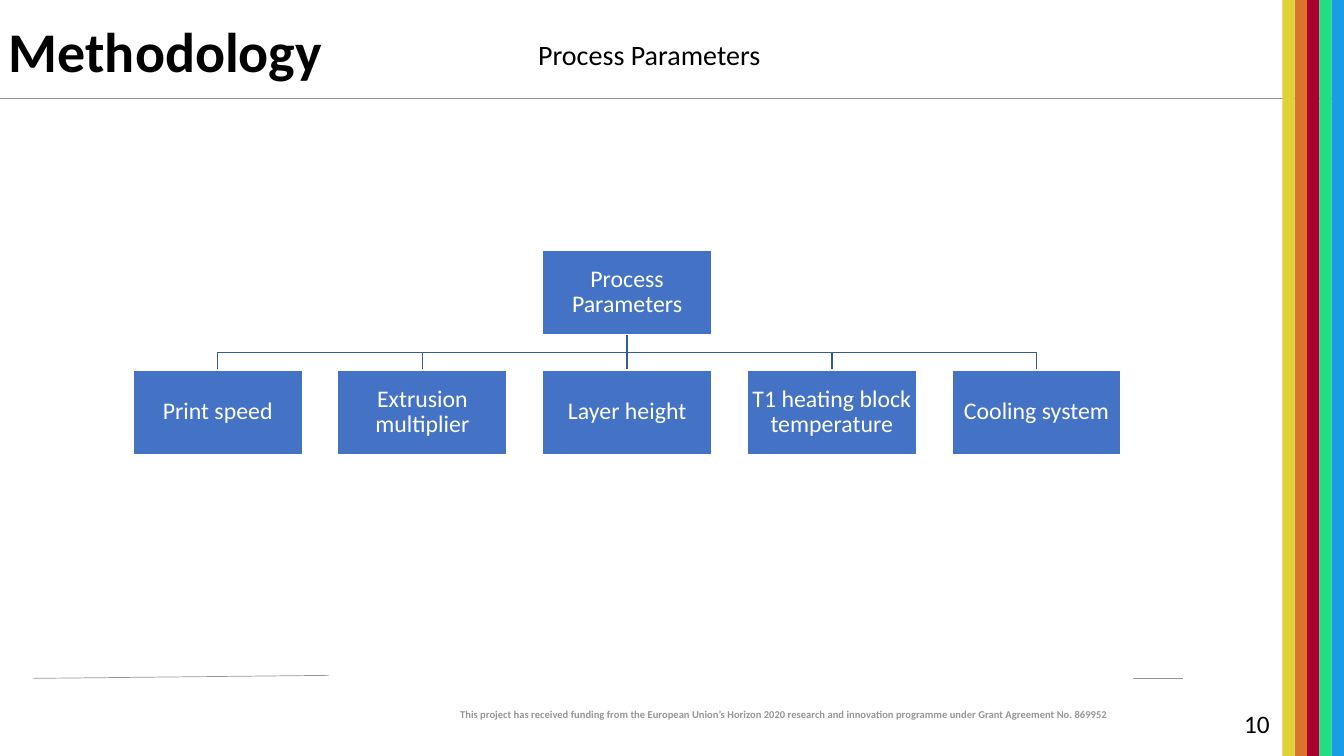
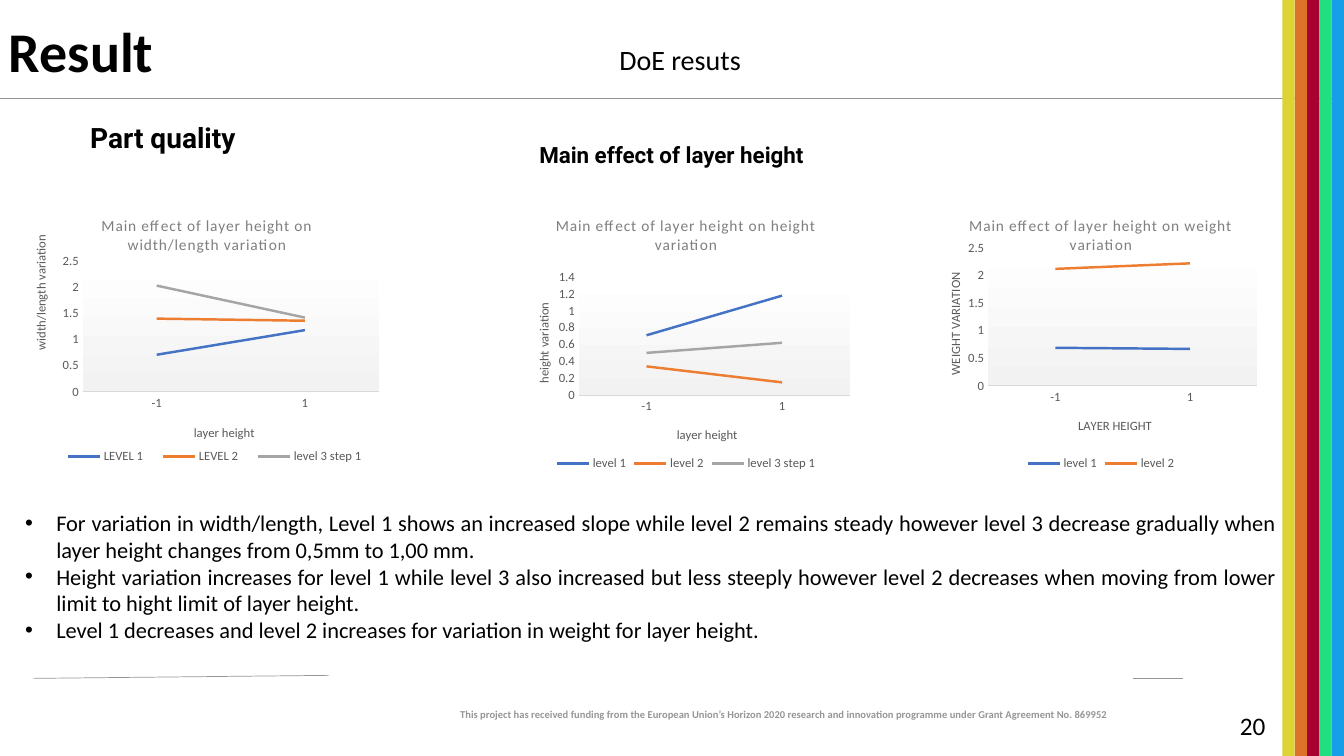
"""Build two slides on process parameters and layer height effects."""
from lxml import etree
from pptx import Presentation
from pptx.chart.data import CategoryChartData
from pptx.dml.color import RGBColor
from pptx.enum.chart import XL_CHART_TYPE, XL_LEGEND_POSITION, XL_TICK_MARK
from pptx.enum.shapes import MSO_CONNECTOR, MSO_SHAPE
from pptx.enum.text import MSO_ANCHOR, PP_ALIGN
from pptx.oxml import parse_xml
from pptx.oxml.ns import nsdecls, qn
from pptx.util import Pt

PX = 9144
WIDE, HIGH = 1333, 750
RECT, STRAIGHT, LINE = MSO_SHAPE.RECTANGLE, MSO_CONNECTOR.STRAIGHT, XL_CHART_TYPE.LINE
LEFT, MID, RIGHT, FULL = PP_ALIGN.LEFT, PP_ALIGN.CENTER, PP_ALIGN.RIGHT, PP_ALIGN.JUSTIFY
TOP, CORE = MSO_ANCHOR.TOP, MSO_ANCHOR.MIDDLE
BELOW, NOTICK = XL_LEGEND_POSITION.BOTTOM, XL_TICK_MARK.NONE

FONT, HEAD = "Calibri", "Roboto"
BLACK, WHITE, GREY, DARK, SOFT = "000000", "FFFFFF", "969696", "595959", "7F7F7F"
BLUE, EDGE, PALE = "4472C4", "365B9D", "D9D9D9"
BANDS = ["DDD334", "DD722A", "A90230", "21DE80", "189DE8"]
BAND_X = 1272
HUES = [BLUE, "ED7D31", "A5A5A5"]
RULES = [(33, 673, 326, 670), (0, 98, WIDE, 98), (1124, 673, 1173, 673)]
GRANT = ("This project has received funding from the European Union’s Horizon 2020 "
         "research and innovation programme under Grant Agreement No. 869952")

ROOT = "Process Parameters"
LEAVES = ["Print speed", "Extrusion multiplier", "Layer height",
          "T1 heating block temperature", "Cooling system"]
BOX_W, BOX_H, STEP, TREE_X, ROOT_Y, LEAF_Y = 168, 84, 203, 132, 248, 367

CATS = ["-1", "1"]
CHART_Y, CHART_H = 200, 271
CHARTS = [
    dict(x=16, w=379, title="Main effect of layer height on width/length variation",
         cat=("layer height", (174, 219)), val=("width/length variation", (14, 31)),
         top=2.5, unit=0.5, plot=(66, 59, 294, 130), key=(36, 243, 322, 20),
         rows=[("LEVEL 1", (0.71, 1.18)), ("LEVEL 2", (1.4, 1.36)),
               ("level 3 step 1", (2.03, 1.42))]),
    dict(x=500, w=361, title="Main effect of layer height on height variation",
         cat=("layer height", (169, 221)), val=("height variation", (29, 98)),
         top=1.4, unit=0.2, plot=(74, 75, 269, 117), key=None,
         rows=[("level 1", (0.71, 1.18)), ("level 2", (0.34, 0.15)),
               ("level 3 step 1", (0.5, 0.62))]),
    dict(x=920, w=344, title="Main effect of layer height on weight variation",
         cat=("LAYER HEIGHT", (147, 212)), val=("WEIGHT VARIATION", (17, 68)),
         top=2.5, unit=0.5, plot=(60, 46, 267, 137), key=None,
         rows=[("level 1", (0.69, 0.67)), ("level 2", (2.12, 2.22))]),
]
NOTES = [
    "For variation in width/length, Level 1 shows an increased slope while level 2 remains "
    "steady however level 3 decrease gradually when layer height changes from 0,5mm to 1,00 mm.",
    "Height variation increases for level 1 while level 3 also increased but less steeply "
    "however level 2 decreases when moving from lower limit to hight limit of layer height.",
    "Level 1 decreases and level 2 increases for variation in weight for layer height.",
]


def px(*nums):
    return [round(n * PX) for n in nums]


def hue(code):
    return RGBColor.from_string(code)


def style(font, size, code, bold=False, name=FONT):
    font.size, font.bold, font.name = Pt(size), bold, name
    font.color.rgb = hue(code)


def write(shape, text, size, code=BLACK, bold=False, name=FONT, align=LEFT,
          anchor=TOP, space=None):
    frame = shape.text_frame
    frame.word_wrap, frame.vertical_anchor = True, anchor
    frame.text = text
    for para in frame.paragraphs:
        para.alignment = align
        if space:
            para.line_spacing = space
        for run in para.runs:
            style(run.font, size, code, bold, name)
    return frame


def label(slide, box, text, size, **look):
    return write(slide.shapes.add_textbox(*px(*box)), text, size, **look)


def block(slide, box, code):
    shape = slide.shapes.add_shape(RECT, *px(*box))
    shape.shadow.inherit = False
    shape.fill.solid()
    shape.fill.fore_color.rgb = hue(code)
    shape.line.fill.background()
    return shape


def rule(slide, ends, code, width):
    line = slide.shapes.add_connector(STRAIGHT, *px(*ends))
    line.line.color.rgb = hue(code)
    line.line.width = Pt(width)
    etree.SubElement(line.element.spPr, qn("a:effectLst"))


def base(deck, title, topic, spot, page, corner):
    slide = deck.slides.add_slide(deck.slide_layouts[6])
    for ends in RULES:
        rule(slide, ends, GREY, 0.5)
    width = (WIDE - BAND_X) / len(BANDS)
    for i, code in enumerate(BANDS):
        block(slide, (BAND_X + i * width, 0, width, HIGH), code)
    label(slide, (388, 697, 720, 35), GRANT, 7.5, code=GREY, bold=True, align=RIGHT)
    label(slide, (-1, 16, 959, 75), title, 40, bold=True, anchor=CORE, space=0.9)
    label(slide, spot, topic, 20, align=MID)
    label(slide, corner, page, 18)
    return slide


def node(slide, x, y, text):
    shape = block(slide, (x, y, BOX_W, BOX_H), BLUE)
    shape.line.color.rgb = hue(WHITE)
    shape.line.width = Pt(1)
    frame = write(shape, text, 17, WHITE, align=MID, anchor=CORE, space=0.9)
    frame.margin_left = frame.margin_right = frame.margin_top = frame.margin_bottom = PX


def tree(slide):
    lefts = [TREE_X + i * STEP for i in range(len(LEAVES))]
    mids = [x + BOX_W / 2 for x in lefts]
    hub = len(LEAVES) // 2
    base_y = ROOT_Y + BOX_H
    bus = (base_y + LEAF_Y) / 2
    lines = [(mids[hub], base_y, mids[hub], bus), (mids[0], bus, mids[-1], bus)]
    lines += [(x, bus, x, LEAF_Y) for x in mids]
    for ends in lines:
        rule(slide, ends, EDGE, 1)
    node(slide, lefts[hub], ROOT_Y, ROOT)
    for x, text in zip(lefts, LEAVES):
        node(slide, x, LEAF_Y, text)


def place(part, index, box, width, inner=False):
    for old in part.findall(qn("c:layout")):
        part.remove(old)
    lay = etree.Element(qn("c:layout"))
    man = etree.SubElement(lay, qn("c:manualLayout"))
    pairs = [("layoutTarget", "inner")] if inner else []
    pairs += [("xMode", "edge"), ("yMode", "edge")]
    sides = (width, CHART_H, width, CHART_H)
    pairs += [(k, f"{n / s:.4f}") for k, n, s in zip("xywh", box, sides)]
    for key, val in pairs:
        etree.SubElement(man, qn("c:" + key)).set("val", val)
    part.insert(index, lay)


def name_axis(axis, text, spot, width, turn):
    title = axis.axis_title
    title.text_frame.text = text
    style(title.text_frame.paragraphs[0].runs[0].font, 9, DARK)
    title.element.find(".//" + qn("a:bodyPr")).set("rot", turn)
    place(title.element, 1, spot, width)
    axis.has_major_gridlines = False
    axis.major_tick_mark = axis.minor_tick_mark = NOTICK
    style(axis.tick_labels.font, 9, DARK)


def graph(slide, spec):
    data = CategoryChartData()
    data.categories = CATS
    for name, vals in spec["rows"]:
        data.add_series(name, vals)
    width = spec["w"]
    box = px(spec["x"], CHART_Y, width, CHART_H)
    chart = slide.shapes.add_chart(LINE, *box, data).chart
    style(chart.font, 10, BLACK)
    chart.has_title = True
    frame = chart.chart_title.text_frame
    frame.text = spec["title"]
    run = frame.paragraphs[0].runs[0]
    style(run.font, 11, SOFT)
    run.font._element.set("spc", "50")
    cat, val = chart.category_axis, chart.value_axis
    name_axis(cat, *spec["cat"], width, "0")
    name_axis(val, *spec["val"], width, "-5400000")
    cat.format.line.color.rgb = hue(PALE)
    cat.format.line.width = Pt(0.75)
    val.format.line.fill.background()
    val.minimum_scale, val.maximum_scale, val.major_unit = 0, spec["top"], spec["unit"]
    val.tick_labels.number_format = "General"
    val.tick_labels.number_format_is_linked = False
    chart.has_legend = True
    chart.legend.position, chart.legend.include_in_layout = BELOW, False
    style(chart.legend.font, 9, DARK)
    if spec["key"]:
        place(chart.element.find(".//" + qn("c:legend")), 1, spec["key"], width)
    plot = chart.plots[0]
    plot.vary_by_categories = False
    for row, code in zip(plot.series, HUES):
        row.smooth = False
        row.format.line.color.rgb = hue(code)
        row.format.line.width = Pt(1.75)
    area = chart.element.find(".//" + qn("c:plotArea"))
    place(area, 0, spec["plot"], width, True)
    area.append(parse_xml(
        f'<c:spPr {nsdecls("c", "a")}><a:gradFill><a:gsLst>'
        '<a:gs pos="0"><a:srgbClr val="FFFFFF"/></a:gs>'
        '<a:gs pos="100000"><a:srgbClr val="F2F2F2"/></a:gs>'
        '</a:gsLst><a:lin ang="5400000" scaled="0"/></a:gradFill></c:spPr>'))


def bullets(frame, indent):
    for para in frame.paragraphs:
        props = para._p.get_or_add_pPr()
        props.set("marL", str(indent * PX))
        props.set("indent", str(-indent * PX))
        etree.SubElement(props, qn("a:buFont")).set("typeface", "Arial")
        etree.SubElement(props, qn("a:buChar")).set("char", "•")


def main():
    deck = Presentation()
    deck.slide_width, deck.slide_height = px(WIDE, HIGH)
    tree(base(deck, "Methodology", ROOT, (513, 32, 262, 44), "10", (1224, 698, 52, 40)))
    slide = base(deck, "Result", "DoE resuts", (599, 37, 151, 44), "20", (1220, 700, 63, 40))
    label(slide, (-8, 115, 339, 42), "Part quality", 20, bold=True, name=HEAD, align=MID)
    label(slide, (429, 135, 474, 35), "Main effect of layer height", 16,
          bold=True, name=HEAD, align=MID)
    for spec in CHARTS:
        graph(slide, spec)
    bullets(label(slide, (15, 500, 1261, 148), "\n".join(NOTES), 16, align=FULL), 31)
    deck.save("out.pptx")


if __name__ == "__main__":
    main()
